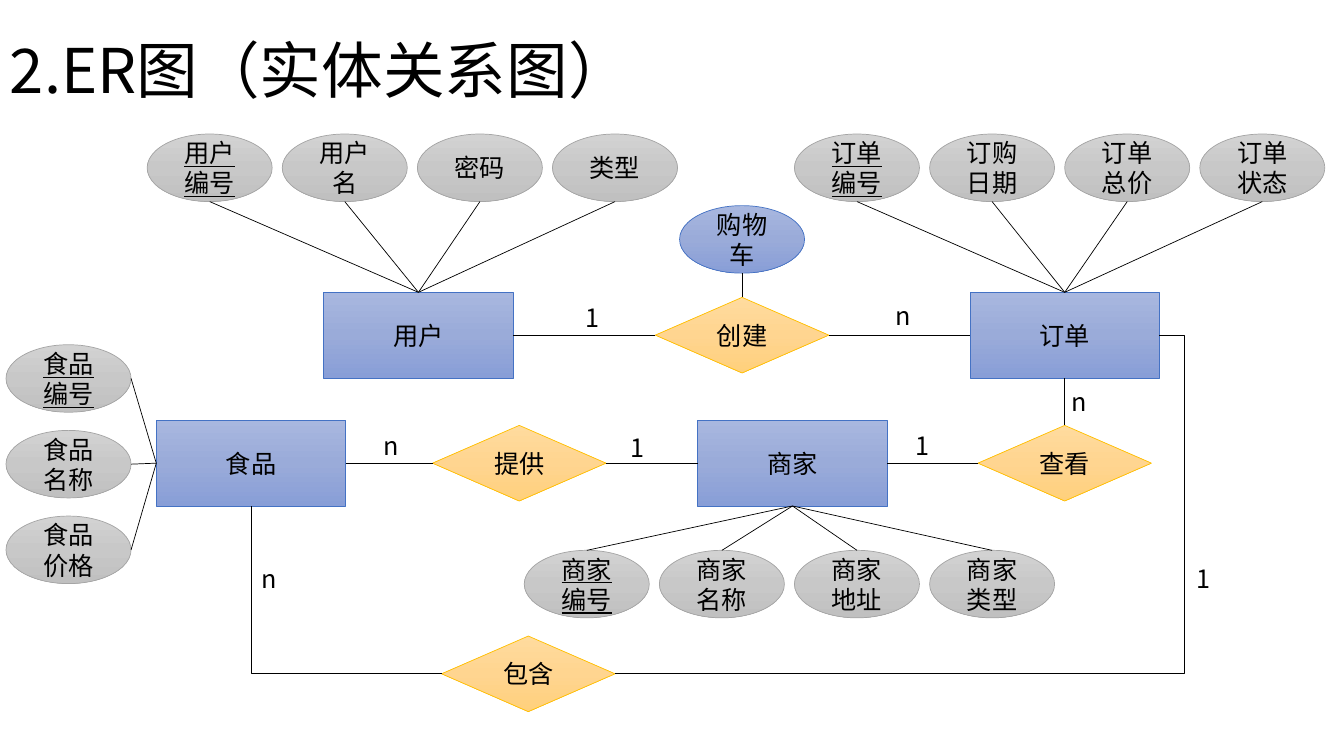
from copy import deepcopy

from lxml import etree
from pptx import Presentation
from pptx import util as u
from pptx.dml.color import RGBColor
from pptx.enum import shapes, text
from pptx.oxml.ns import qn

FONT = "Noto Sans CJK SC"
COLORS = {"ink": "000000", "blue": "4472C4", "gray": "A5A5A5", "gold": "FFC000"}
GRADIENTS = {
    "blue": ("A8B7DF", "9AABD9", "889ED7"),
    "gray": ("D2D2D2", "C8C8C8", "C0C0C0"),
    "gold": ("FFDB9E", "FFD590", "FFD07C"),
}
SHAPE = shapes.MSO_SHAPE
STRAIGHT, ELBOW = shapes.MSO_CONNECTOR.STRAIGHT, shapes.MSO_CONNECTOR.ELBOW
ENTITY = {"kind": SHAPE.RECTANGLE, "size": (1.88, 0.85), "color": "blue"}
RELATION = {"kind": SHAPE.DIAMOND, "size": (1.72, 0.75), "color": "gold"}
ATTRIBUTE = {"kind": SHAPE.OVAL, "size": (1.24, 0.67), "color": "gray"}
CART = {**ATTRIBUTE, "color": "blue"}
TOP, LEFT, BOTTOM, RIGHT = range(4)
SIDES = {TOP: (0.5, 0), LEFT: (0, 0.5), BOTTOM: (0.5, 1), RIGHT: (1, 0.5)}


def color(name):
    return RGBColor.from_string(COLORS[name])


def write(box, words, size=18, underline=None, **layout):
    para = box.text_frame.paragraphs[0]
    for name, value in layout.items():
        setattr(para, name, value)
    span = para.add_run()
    span.text = words
    span.font.color.rgb = color("ink")
    formats = {"name": FONT, "size": u.Pt(size), "underline": underline}
    for name, value in formats.items():
        setattr(span.font, name, value)
    east_asian = etree.SubElement(span.font._element, qn("a:ea"))
    east_asian.set("typeface", FONT)


def paint(box, name):
    box.fill.gradient()
    box.fill.gradient_angle = 270
    stops = box._element.spPr.find(".//" + qn("a:gsLst"))
    stops.insert(1, deepcopy(stops[0]))
    for index, stop in enumerate(box.fill.gradient_stops):
        stop.position = index / 2
        stop.color.rgb = RGBColor.from_string(GRADIENTS[name][index])
    box.line.color.rgb = color(name)
    box.line.width = u.Pt(0.5)


def add_node(page, style, words, left, top, underline=None):
    width, height = style["size"]
    box = page.shapes.add_shape(
        style["kind"], u.Inches(left), u.Inches(top), u.Inches(width), u.Inches(height)
    )
    box.shadow.inherit = False
    paint(box, style["color"])
    box.text_frame.word_wrap = True
    write(box, words, underline=underline, alignment=text.PP_ALIGN.CENTER)
    return box


def side_point(box, side):
    across, down = SIDES[side]
    return int(box.left + across * box.width), int(box.top + down * box.height)


def join(page, start, start_side, end, end_side, kind=STRAIGHT):
    line = page.shapes.add_connector(
        kind, *side_point(start, start_side), *side_point(end, end_side)
    )
    if start.auto_shape_type != SHAPE.OVAL:
        line.begin_connect(start, start_side)
    line.end_connect(end, end_side)
    line.line.color.rgb = color("ink")
    line.line.width = u.Pt(0.5)
    etree.SubElement(line._element.spPr, qn("a:effectLst"))
    return line


def add_label(page, words, left, top, width=0.34):
    box = page.shapes.add_textbox(
        u.Inches(left), u.Inches(top), u.Inches(width), u.Inches(0.4)
    )
    box.text_frame.word_wrap = True
    write(box, words)


def add_title(page, left, top, width, height):
    box = page.shapes.add_textbox(
        u.Inches(left), u.Inches(top), u.Inches(width), u.Inches(height)
    )
    box.text_frame.word_wrap = True
    box.text_frame.vertical_anchor = text.MSO_ANCHOR.MIDDLE
    write(box, "2.ER图（实体关系图）", size=44, line_spacing=0.9)


def add_attributes(page, entity, entity_side, names, left, top, step, oval_side):
    for index, name in enumerate(names):
        x, y = left + index * step[0], top + index * step[1]
        oval = add_node(page, ATTRIBUTE, name, x, y, underline=index == 0 or None)
        join(page, oval, oval_side, entity, entity_side)


def add_order_row(page, left, top):
    user = add_node(page, ENTITY, "用户", left, top)
    create = add_node(page, RELATION, "创建", left + 3.29, top + 0.05)
    order = add_node(page, ENTITY, "订单", left + 6.41, top)
    cart = add_node(page, CART, "购物车", left + 3.53, top - 0.86)
    join(page, user, RIGHT, create, LEFT)
    join(page, create, RIGHT, order, LEFT)
    join(page, cart, BOTTOM, create, TOP)
    add_label(page, "1", left + 2.5, top + 0.05, 0.48)
    add_label(page, "n", left + 5.57, top + 0.03)
    return user, order


def add_food_row(page, left, top, order):
    food = add_node(page, ENTITY, "食品", left, top)
    supply = add_node(page, RELATION, "提供", left + 2.74, top + 0.05)
    shop = add_node(page, ENTITY, "商家", left + 5.37, top)
    view = add_node(page, RELATION, "查看", left + 8.15, top + 0.05)
    join(page, food, RIGHT, supply, LEFT)
    join(page, supply, RIGHT, shop, LEFT)
    join(page, shop, RIGHT, view, LEFT)
    join(page, order, BOTTOM, view, TOP)
    add_label(page, "n", left + 2.16, top + 0.05)
    add_label(page, "1", left + 4.61, top + 0.07)
    add_label(page, "1", left + 7.43, top + 0.05, 0.48)
    add_label(page, "n", left + 8.98, top - 0.39)
    return food, shop


def add_contains(page, left, top, food, order):
    contains = add_node(page, RELATION, "包含", left, top)
    outer = join(page, order, RIGHT, contains, RIGHT, ELBOW)
    guides = outer._element.spPr.find(qn("a:prstGeom")).find(qn("a:avLst"))
    etree.SubElement(guides, qn("a:gd"), name="adj1", fmla="val -4600")
    corner = join(page, contains, LEFT, food, BOTTOM, ELBOW)
    corner._element.spPr.find(qn("a:prstGeom")).set("prst", "bentConnector2")
    add_label(page, "n", left - 1.88, top - 0.77)
    add_label(page, "1", left + 7.39, top - 0.77)


def build_diagram(page):
    add_title(page, 0, 0, 11.5, 1.45)
    user, order = add_order_row(page, 3.21, 2.9)
    food, shop = add_food_row(page, 1.55, 4.17, order)
    add_contains(page, 4.38, 6.31, food, order)
    across, down = (1.34, 0), (0, 0.85)
    groups = [
        (user, TOP, ("用户编号", "用户名", "密码", "类型"), 1.46, 1.33, across, BOTTOM),
        (order, TOP, ("订单编号", "订购日期", "订单总价", "订单状态"), 7.88, 1.33, across, BOTTOM),
        (shop, BOTTOM, ("商家编号", "商家名称", "商家地址", "商家类型"), 5.2, 5.46, across, TOP),
        (food, LEFT, ("食品编号", "食品名称", "食品价格"), 0.06, 3.42, down, RIGHT),
    ]
    for group in groups:
        add_attributes(page, *group)


def main():
    deck = Presentation()
    deck.slide_width, deck.slide_height = u.Inches(13.33), u.Inches(7.5)
    page = deck.slides.add_slide(deck.slide_layouts[6])
    build_diagram(page)
    deck.save("out.pptx")


if __name__ == "__main__":
    main()
